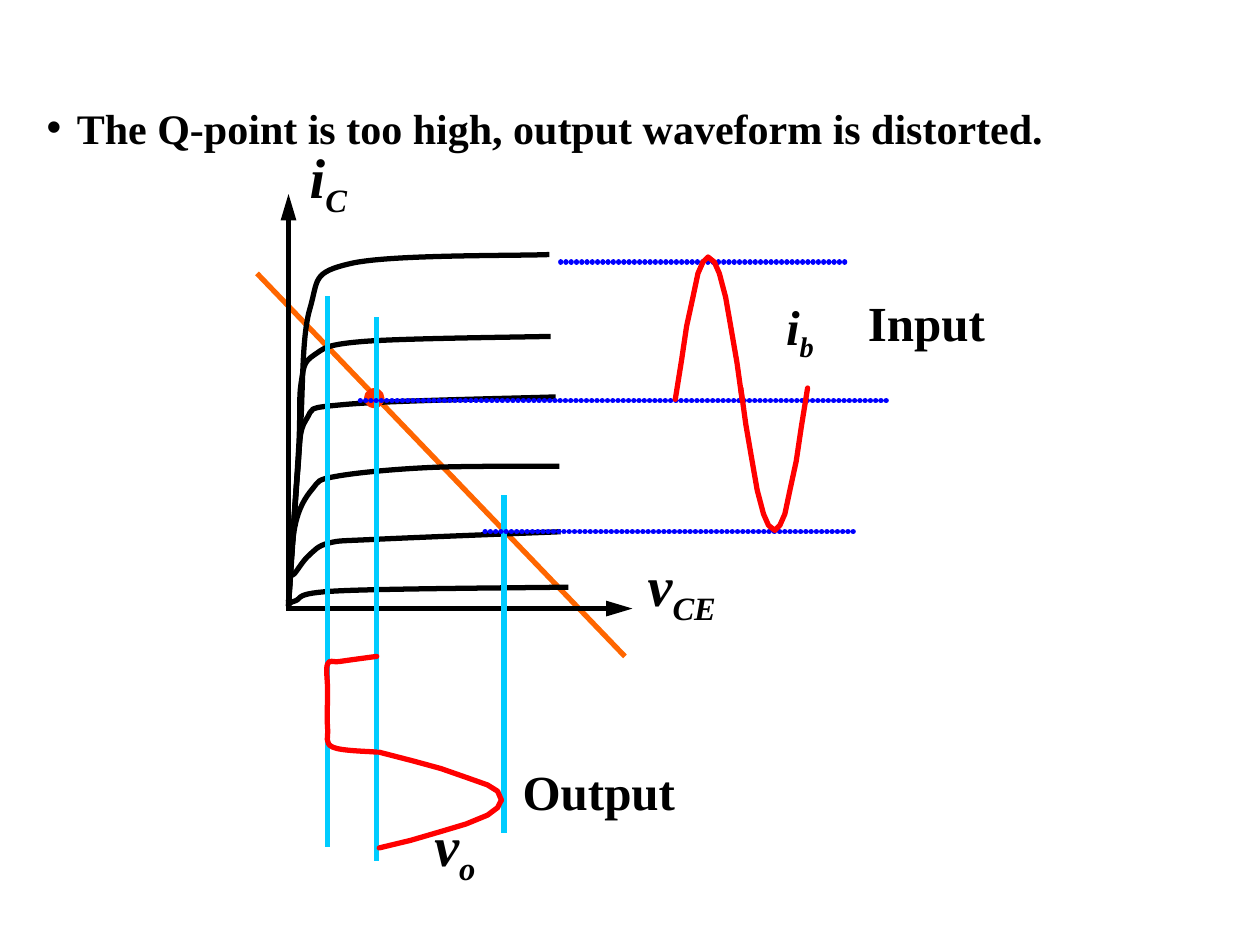
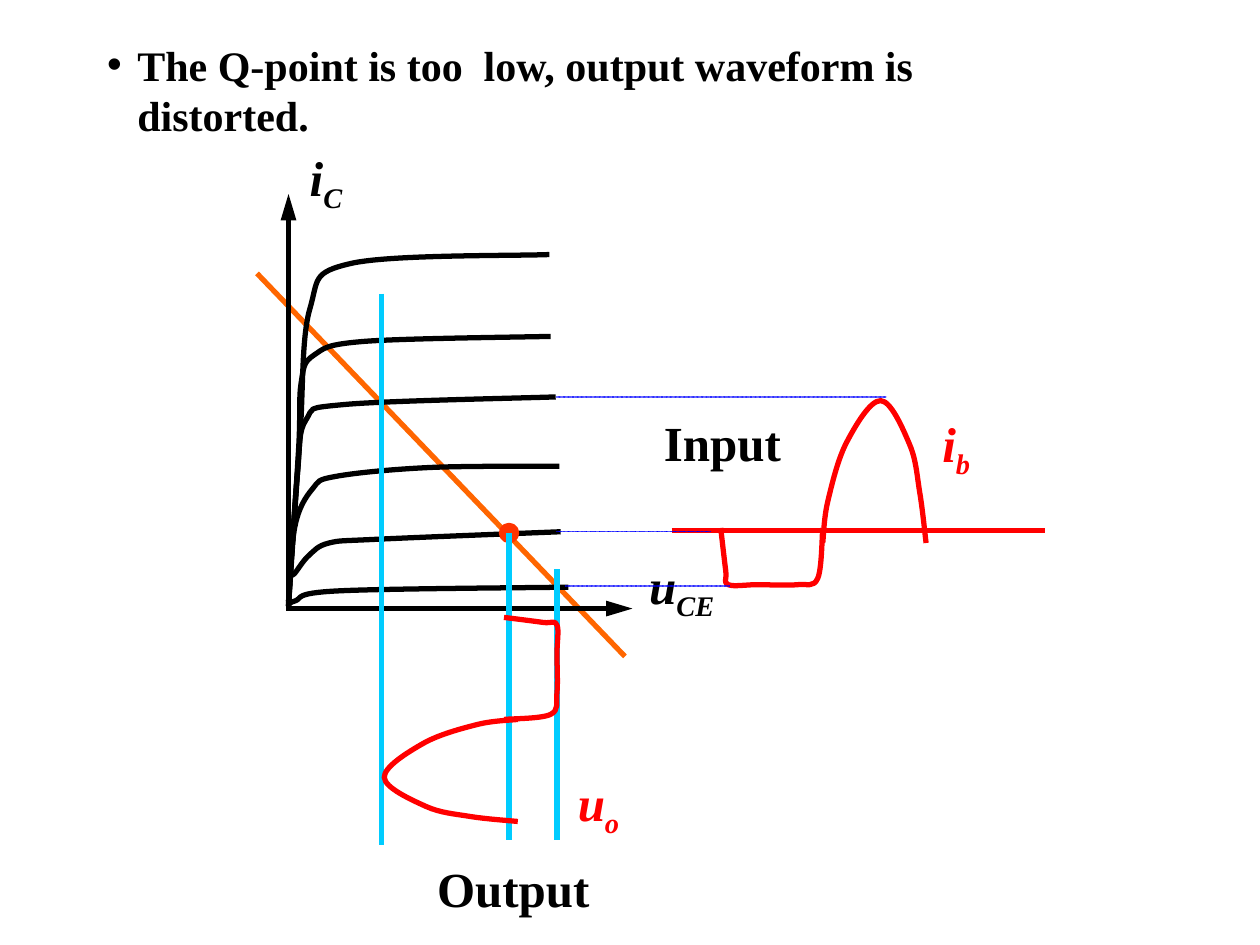
import pptx
import pptx.util
import pptx.dml.color
import pptx.enum.shapes
import pptx.enum.text
import pptx.oxml
import pptx.oxml.ns
from lxml import etree

Inches = pptx.util.Inches
Pt = pptx.util.Pt
qn = pptx.oxml.ns.qn
ALIGN = pptx.enum.text.PP_ALIGN

COLORS = {
    "ink": "000000",
    "load": "FF6600",
    "q_point": "FF3300",
    "guide": "00CCFF",
    "level": "0000FF",
    "wave": "FF0000",
}

COLLECTOR_CURVES = [
    [(2.29, 4.81), (2.34, 4.77), (2.68, 4.69), (4.51, 4.66)],
    [(2.29, 4.81), (2.3, 4.59), (2.34, 4.55), (2.45, 4.41), (2.61, 4.31),
     (2.99, 4.28), (4.45, 4.22)],
    [(2.29, 4.81), (2.34, 4.18), (2.48, 3.88), (2.67, 3.78), (3.42, 3.71),
     (4.44, 3.7)],
    [(2.29, 4.77), (2.36, 3.77), (2.43, 3.33), (2.74, 3.21), (4.41, 3.15)],
    [(2.29, 4.77), (2.37, 3.56), (2.39, 3.04), (2.49, 2.82), (2.89, 2.71),
     (4.37, 2.67)],
    [(2.29, 4.81), (2.38, 3.49), (2.46, 2.45), (2.79, 2.09), (4.36, 2.02)],
]


class Deck:
    font = "Times New Roman"

    def __init__(self):
        self.prs = pptx.Presentation()
        self.prs.slide_width = Inches(10)
        self.prs.slide_height = Inches(7.5)
        self.slide = None

    def new_slide(self):
        self.slide = self.prs.slides.add_slide(self.prs.slide_layouts[1])
        title = self.slide.shapes.title
        title.element.getparent().remove(title.element)

    def color(self, name):
        return pptx.dml.color.RGBColor.from_string(COLORS[name])

    def stroke(self, sp, color, width=3, round_cap=False):
        sp.line.color.rgb = self.color(color)
        sp.line.width = Pt(width)
        if round_cap:
            sp.line._get_or_add_ln().set("cap", "rnd")

    def line(self, start, end, color, width=3, dotted=False, arrow=False):
        cx = self.slide.shapes.add_connector(
            pptx.enum.shapes.MSO_CONNECTOR.STRAIGHT,
            *map(Inches, (*start, *end)))
        self.stroke(cx, color, width, dotted)
        ln = cx.line._get_or_add_ln()
        if dotted:
            dash = etree.SubElement(ln, qn("a:custDash"))
            etree.SubElement(dash, qn("a:ds"), d="1000", sp="99000")
        if arrow:
            etree.SubElement(ln, qn("a:tailEnd"),
                             type="triangle", w="med", len="lg")
        etree.SubElement(cx.element.spPr, qn("a:effectLst"))

    def outline(self, points, color, round_cap=False):
        pts = [(Inches(x), Inches(y)) for x, y in points]
        builder = self.slide.shapes.build_freeform(*pts[0])
        builder.add_line_segments(pts[1:], close=False)
        sp = builder.convert_to_shape()
        sp.shadow.inherit = False
        sp.fill.background()
        self.stroke(sp, color, round_cap=round_cap)
        return sp

    def curve(self, points, color, round_cap=False):
        sp = self.outline(points, color, round_cap)
        pts = [(int(pt.get("x")), int(pt.get("y")))
               for pt in sp.element.iter(qn("a:pt"))]
        padded = [pts[0], *pts, pts[-1]]
        segments = list(sp.element.iter(qn("a:lnTo")))
        for segment, a, b, c, d in zip(segments, padded, padded[1:],
                                       padded[2:], padded[3:]):
            leave = [q + (r - p) / 6 for p, q, r in zip(a, b, c)]
            arrive = [q - (r - p) / 6 for p, q, r in zip(b, c, d)]
            bezier = etree.Element(qn("a:cubicBezTo"))
            for x, y in (leave, arrive, c):
                etree.SubElement(bezier, qn("a:pt"),
                                 x=str(round(x)), y=str(round(y)))
            segment.getparent().replace(segment, bezier)

    def q_point(self, x, y, size=0.12):
        sp = self.slide.shapes.add_shape(
            pptx.enum.shapes.MSO_SHAPE.OVAL,
            *map(Inches, (x - size / 2, y - size / 2, size, size)))
        sp.shadow.inherit = False
        sp.fill.solid()
        sp.fill.fore_color.rgb = self.color("q_point")
        self.stroke(sp, "q_point")

    def frame(self, sp):
        tf = sp.text_frame
        tf.word_wrap = True
        tf.auto_size = pptx.enum.text.MSO_AUTO_SIZE.NONE
        tf.vertical_anchor = pptx.enum.text.MSO_ANCHOR.MIDDLE
        return tf.paragraphs[0]

    def run(self, p, text, size, color="ink", italic=False):
        r = p.add_run()
        r.text = text
        r.font.name = self.font
        r.font.size = Pt(size)
        r.font.bold = True
        r.font.italic = italic
        r.font.color.rgb = self.color(color)
        return r

    def bullet(self, text, left, top, width):
        sp = self.slide.placeholders[1]
        sp.left, sp.top, sp.width, sp.height = map(
            Inches, (left, top, width, 0.5))
        p = self.frame(sp)
        pPr = p._p.get_or_add_pPr()
        pPr.set("marL", str(Inches(0.24)))
        pPr.set("indent", str(Inches(-0.24)))
        etree.SubElement(pPr, qn("a:buChar"), char="•")
        p.space_before = Pt(0)
        self.run(p, text, 24)

    def label(self, text, box, sub=None, size=28, color="ink",
              align=ALIGN.LEFT):
        p = self.frame(self.slide.shapes.add_textbox(*map(Inches, box)))
        p.alignment = align
        self.run(p, text, size, color, italic=bool(sub))
        if sub:
            r = self.run(p, sub, size, color, italic=True)
            r.font._element.set("baseline", "-25000")

    def characteristics(self, voltage, size):
        self.line((2.04, 2.17), (4.96, 5.21), "load")
        self.label("i", (2.36, 1.08, 2, 0.71), "C", size)
        self.label(voltage, (5.02, 4.32, 0.78, 0.71), "CE", size,
                   align=ALIGN.CENTER)
        self.line((2.27, 4.83), (5.02, 4.83), "ink", arrow=True)
        self.line((2.29, 4.83), (2.29, 1.54), "ink", arrow=True)
        for points in COLLECTOR_CURVES:
            self.curve(points, "ink")

    def guides(self, spans):
        for x, top, bottom in spans:
            self.line((x, top), (x, bottom), "guide")

    def levels(self, spans, width):
        for y, left, right in spans:
            self.line((left, y), (right, y), "level", width, dotted=True)


def high_q_point(deck):
    deck.new_slide()
    deck.characteristics("v", 32)
    deck.q_point(2.97, 3.16)
    deck.guides([(2.99, 2.52, 6.83), (2.6, 2.35, 6.72), (4, 3.93, 6.61)])
    deck.bullet("The Q-point is too high, output waveform is distorted.",
                0.27, 0.76, 9.53)
    deck.levels([(4.22, 3.85, 6.81), (3.18, 2.86, 7.04), (2.08, 4.45, 6.73)],
                3)
    input_crest = [(5.36, 3.17), (5.41, 2.86), (5.45, 2.59), (5.5, 2.36),
                   (5.54, 2.17), (5.58, 2.08), (5.62, 2.04), (5.67, 2.08),
                   (5.71, 2.17), (5.76, 2.36), (5.8, 2.59), (5.85, 2.88),
                   (5.89, 3.17)]
    input_trough = [(11.77 - x, 6.25 - y) for x, y in input_crest]
    output_clipped = [(2.99, 5.21), (2.7, 5.25), (2.6, 5.27), (2.6, 5.48),
                      (2.6, 5.78), (2.64, 5.93), (2.99, 5.97)]
    output_crest = [(3.01, 5.97), (3.28, 6.04), (3.5, 6.1), (3.7, 6.17),
                    (3.87, 6.23), (3.95, 6.28), (3.98, 6.35), (3.95, 6.41),
                    (3.87, 6.47), (3.7, 6.54), (3.5, 6.6), (3.26, 6.67),
                    (3.01, 6.73)]
    for half_wave in (input_crest, input_trough):
        deck.outline(half_wave, "wave", round_cap=True)
    deck.label("i", (6.14, 2.3, 0.57, 0.63), "b")
    deck.label("Input", (6.79, 2.27, 1.64, 0.57))
    deck.label("v", (3.14, 6.38, 0.94, 0.71), "o", 32, align=ALIGN.CENTER)
    deck.curve(output_clipped, "wave", round_cap=True)
    deck.outline(output_crest, "wave", round_cap=True)
    deck.label("Output", (4.05, 5.99, 1.41, 0.57))


def low_q_point(deck):
    deck.new_slide()
    deck.characteristics("u", 28)
    deck.q_point(4.04, 4.23)
    deck.guides([(4.04, 4.23, 6.67), (3.03, 2.33, 6.71), (4.42, 4.52, 6.67)])
    deck.label("u", (4.28, 6.08, 0.94, 0.63), "o", color="wave",
               align=ALIGN.CENTER)
    deck.bullet("The Q-point is too  low, output waveform is distorted.",
                0.75, 0.46, 8.03)
    output_clipped = [(4, 4.9), (4.31, 4.94), (4.42, 4.96), (4.42, 5.19),
                      (4.42, 5.5), (4.37, 5.67), (4, 5.71)]
    output_crest = [(4.11, 5.71), (3.79, 5.75), (3.36, 5.9), (3.05, 6.17),
                    (3.38, 6.4), (3.73, 6.48), (4.11, 6.52)]
    input_clipped = [(5.72, 4.19), (5.76, 4.53), (5.78, 4.64), (6.01, 4.64),
                     (6.33, 4.64), (6.49, 4.59), (6.53, 4.19)]
    input_crest = [(6.53, 4.31), (6.57, 3.98), (6.72, 3.51), (6.99, 3.18),
                   (7.22, 3.53), (7.3, 3.91), (7.35, 4.31)]
    for half_wave in (output_clipped, output_crest):
        deck.curve(half_wave, "wave")
    deck.label("Output", (3.37, 6.76, 2.08, 0.57))
    for half_wave in (input_clipped, input_crest):
        deck.curve(half_wave, "wave")
    deck.line((5.33, 4.21), (8.29, 4.21), "wave")
    deck.label("Input", (5.17, 3.22, 2.08, 0.57))
    deck.label("i", (7.38, 3.23, 0.55, 0.63), "b", color="wave")
    deck.levels([(3.15, 4.42, 7.04), (4.22, 4.42, 5.64), (4.65, 4.49, 5.79)],
                0.75)


def main():
    deck = Deck()
    high_q_point(deck)
    low_q_point(deck)
    deck.prs.save("out.pptx")


if __name__ == "__main__":
    main()
